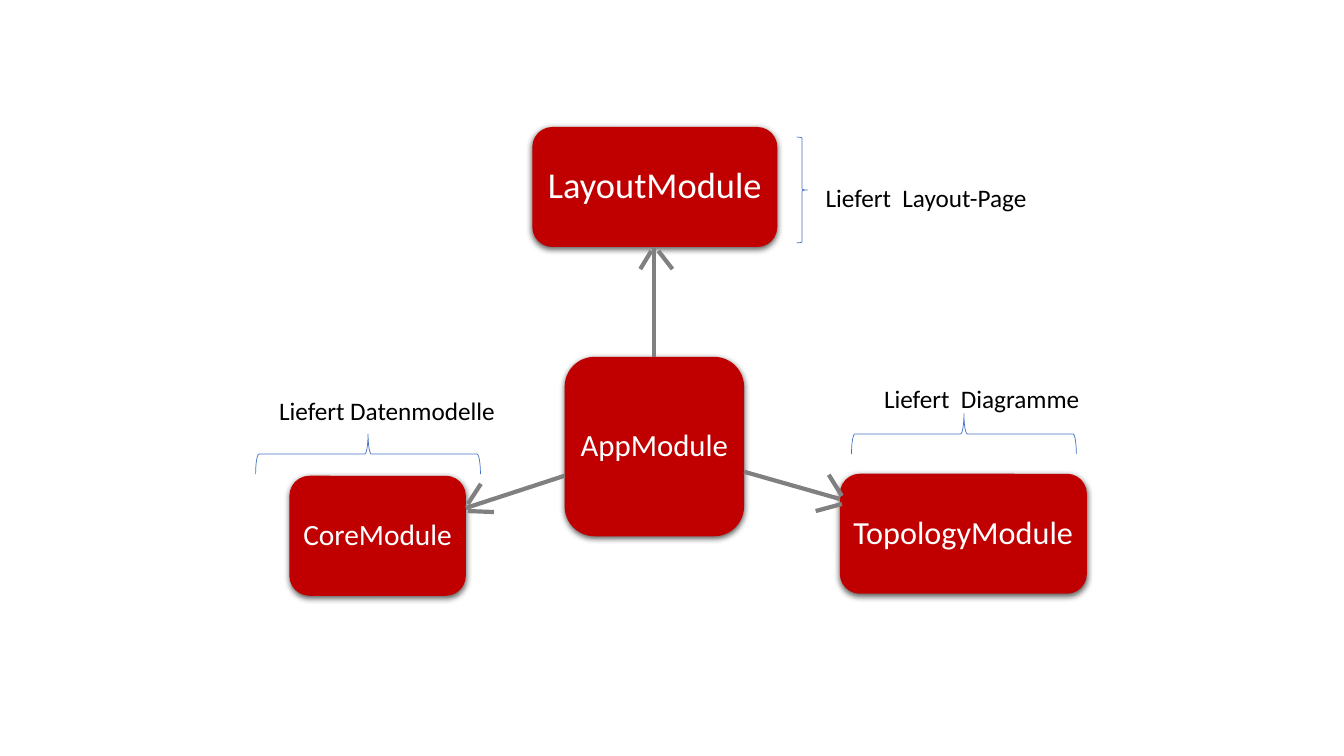
from lxml.etree import SubElement
from pptx import Presentation
from pptx.dml.color import RGBColor
from pptx.enum.shapes import MSO_CONNECTOR, MSO_SHAPE
from pptx.enum.text import MSO_ANCHOR, PP_ALIGN
from pptx.oxml.ns import qn
from pptx.util import Inches, Pt

RED = RGBColor(0xC0, 0x00, 0x00)
GRAY = RGBColor(0x80, 0x80, 0x80)
BLUE = RGBColor(0x44, 0x72, 0xC4)
WHITE = RGBColor(0xFF, 0xFF, 0xFF)
BLACK = RGBColor(0x00, 0x00, 0x00)
FONT = "Calibri"

# Name, (left, top, width, height) in inches, font size in points
MODULES = [
    ("AppModule", (5.6, 3.54, 1.78, 1.78), 22),
    ("LayoutModule", (5.28, 1.26, 2.43, 1.19), 26),
    ("TopologyModule", (8.33, 4.7, 2.45, 1.19), 23),
    ("CoreModule", (2.87, 4.72, 1.75, 1.19), 21),
]
# Each arrow: a shaft and two head strokes, as (start, end) points
ARROWS = {
    "LayoutModule": [((6.49, 3.54), (6.49, 2.45)),
                     ((6.53, 2.49), (6.67, 2.67)), ((6.35, 2.67), (6.46, 2.49))],
    "TopologyModule": [((7.38, 4.68), (8.33, 4.95)),
                       ((8.22, 4.71), (8.35, 4.92)), ((8.09, 5.07), (8.35, 5))],
    "CoreModule": [((5.6, 4.72), (4.62, 5.04)),
                   ((4.64, 5.07), (4.9, 5.08)), ((4.64, 5), (4.77, 4.8))],
}
# Brace shape, box before rotation, rotation in degrees
BRACES = [
    (MSO_SHAPE.RIGHT_BRACE, (7.9, 1.36, 0.11, 1.05), 0),
    (MSO_SHAPE.LEFT_BRACE, (3.45, 3.39, 0.4, 2.23), 90),
    (MSO_SHAPE.LEFT_BRACE, (9.36, 3.19, 0.4, 2.23), 90),
]
LABELS = [
    ("Liefert  Layout-Page", (8.09, 1.76, 2.34, 0.4)),
    ("Liefert Datenmodelle", (2.67, 3.87, 2.37, 0.4)),
    ("Liefert  Diagramme", (8.67, 3.75, 2.16, 0.4)),
]


def inches(values):
    """Convert a sequence of numbers to lengths."""
    return [Inches(value) for value in values]


def write_text(shape, text, size=18, color=BLACK, align=PP_ALIGN.LEFT,
               anchor=MSO_ANCHOR.TOP, inset=None, line_spacing=None, wrap=False):
    """Put one formatted paragraph into a shape."""
    frame = shape.text_frame
    frame.word_wrap = wrap
    frame.vertical_anchor = anchor
    if inset is not None:
        frame.margin_left = frame.margin_right = Inches(inset)
        frame.margin_top = frame.margin_bottom = Inches(inset)
    paragraph = frame.paragraphs[0]
    paragraph.alignment = align
    paragraph.line_spacing = line_spacing
    run = paragraph.add_run()
    run.text = text
    run.font.name = FONT
    run.font.size = Pt(size)
    run.font.color.rgb = color


def add_soft_shadow(shape):
    """Give a shape a blurred black shadow straight below it."""
    shape.shadow.inherit = False
    effects = shape.element.spPr.find(qn("a:effectLst"))
    shadow = SubElement(effects, qn("a:outerShdw"), blurRad=str(Pt(4.5)),
                        dist=str(Pt(1.5)), dir="5400000", algn="ctr", rotWithShape="0")
    color = SubElement(shadow, qn("a:srgbClr"), val=str(BLACK))
    SubElement(color, qn("a:alpha"), val="63000")


def add_module(slide, name, box, size):
    """Draw a red module box with its name."""
    shape = slide.shapes.add_shape(MSO_SHAPE.ROUNDED_RECTANGLE, *inches(box))
    shape.fill.solid()
    shape.fill.fore_color.rgb = RED
    shape.line.fill.background()
    add_soft_shadow(shape)
    write_text(shape, name, size=size, color=WHITE, align=PP_ALIGN.CENTER,
               anchor=MSO_ANCHOR.MIDDLE, inset=0.06, line_spacing=0.9)


def add_stroke(slide, start, end):
    """Draw one gray stroke of an arrow."""
    connector = slide.shapes.add_connector(MSO_CONNECTOR.STRAIGHT, *inches(start + end))
    connector.line.color.rgb = GRAY
    connector.line.width = Pt(3)
    SubElement(connector.element.spPr, qn("a:effectLst"))


def add_brace(slide, kind, box, rotation):
    """Draw a thin blue brace."""
    shape = slide.shapes.add_shape(kind, *inches(box))
    shape.rotation = rotation
    shape.shadow.inherit = False
    shape.fill.background()
    shape.line.color.rgb = BLUE
    shape.line.width = Pt(0.5)


presentation = Presentation()
presentation.slide_width, presentation.slide_height = inches((13.33, 7.5))
slide = presentation.slides.add_slide(presentation.slide_layouts[6])

for module in MODULES:
    add_module(slide, *module)
for strokes in ARROWS.values():
    for start, end in strokes:
        add_stroke(slide, start, end)
for brace in BRACES:
    add_brace(slide, *brace)
for text, box in LABELS:
    write_text(slide.shapes.add_textbox(*inches(box)), text)

presentation.save("out.pptx")
